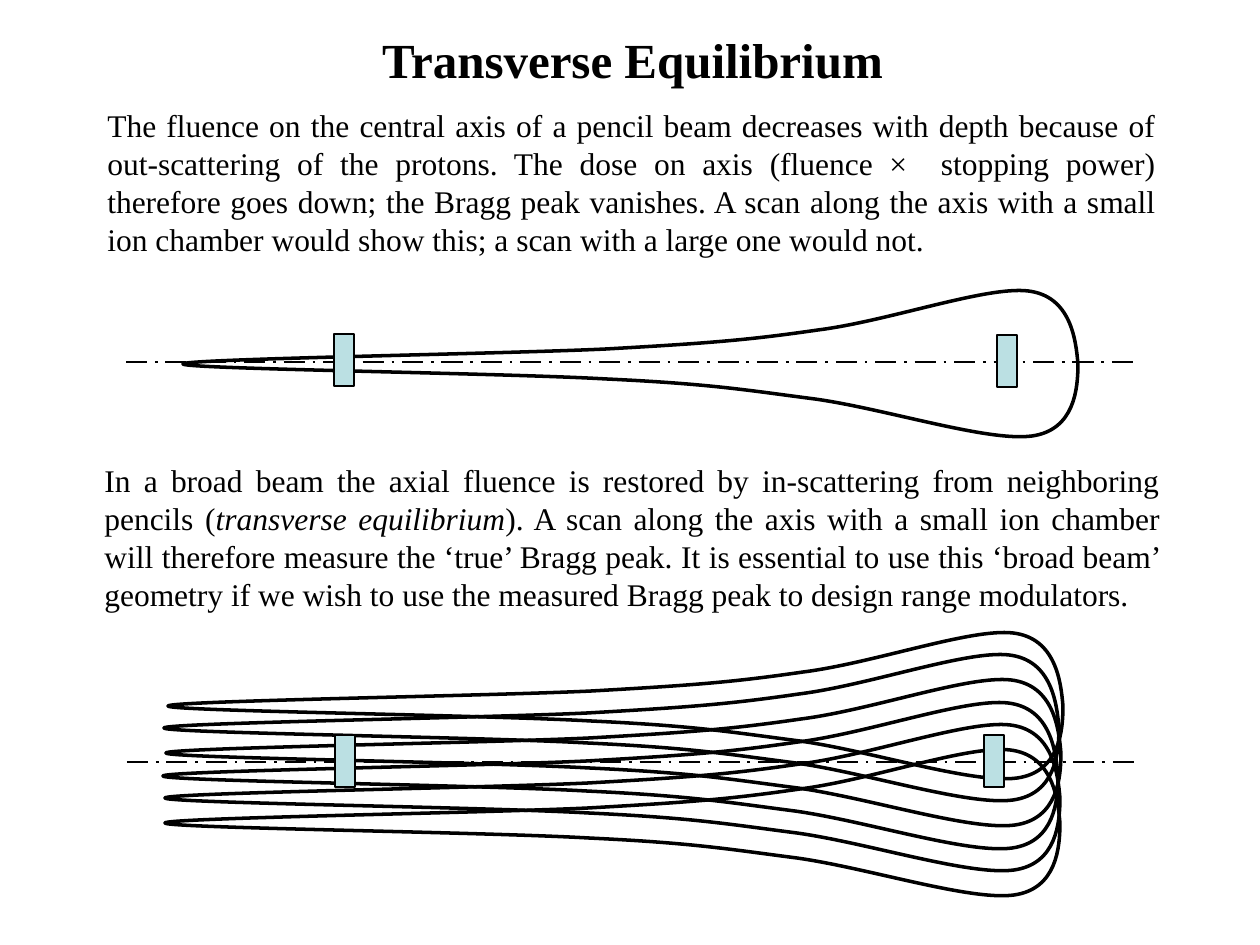
import pptx
import pptx.dml.color
import pptx.enum.dml
import pptx.enum.shapes
import pptx.enum.text
import pptx.oxml
import pptx.oxml.ns
import pptx.util

PX = 914400 / 126
COLORS = {"ink": "000000", "chamber": "BBE0E3"}
FONT = "Times New Roman"
ALIGN = pptx.enum.text.PP_ALIGN

TITLE = ("Transverse Equilibrium", (125, 23, 1015, 72))
# Each text is a box and its runs of (text, italic)
TEXTS = [
    ((95, 100, 1074, 202), [
        ("The fluence on the central axis of a pencil beam decreases with depth because of "
         "out-scattering of the protons. The dose on axis (fluence ×  stopping power) therefore "
         "goes down; the Bragg peak vanishes. A scan along the axis with a small ion chamber "
         "would show this; a scan with a large one would not.", False)]),
    ((92, 455, 1081, 202), [
        ("In a broad beam the axial fluence is restored by in-scattering from neighboring "
         "pencils (", False),
        ("transverse equilibrium", True),
        ("). A scan along the axis with a small ion chamber will therefore measure the ‘true’ "
         "Bragg peak. It is essential to use this ‘broad beam’ geometry if we wish to use the "
         "measured Bragg peak to design range modulators.", False)]),
]
# Bezier points of one pencil beam, measured from its tip: three per curve
PENCIL = [
    (0, -5), (318, -10), (423, -15),
    (529, -21), (566, -24), (635, -34),
    (706, -43), (803, -78), (845, -73),
    (888, -68), (893, -24), (895, 0),
    (895, 24), (892, 66), (849, 72),
    (805, 78), (703, 45), (632, 35),
    (562, 26), (529, 20), (423, 15),
    (318, 9), (0, 5), (0, 0),
]
TIPS = [(183, 364), (166, 753), (163, 776), (165, 798), (165, 823), (168, 706), (164, 728)]
AXES = [(126, 1138, 362), (127, 1140, 762)]
CHAMBER_SIZE = (20, 52)
CHAMBERS = [(334, 334), (997, 335), (984, 735), (335, 735)]


def emu(*lengths):
    return [round(n * PX) for n in lengths]


def rgb(name):
    return pptx.dml.color.RGBColor.from_string(COLORS[name])


def set_line(shape, width):
    shape.line.color.rgb = rgb("ink")
    shape.line.width = pptx.util.Pt(width)


def write(tf, runs, size, align, bold=False):
    tf.word_wrap = True
    tf.auto_size = pptx.enum.text.MSO_AUTO_SIZE.NONE
    tf.vertical_anchor = pptx.enum.text.MSO_ANCHOR.TOP
    p = tf.paragraphs[0]
    p.alignment = align
    for text, italic in runs:
        r = p.add_run()
        r.text = text
        r.font.name = FONT
        r.font.size = pptx.util.Pt(size)
        r.font.bold = bold
        r.font.italic = italic
        r.font.color.rgb = rgb("ink")


def add_pencil(s, x, y):
    """Draw a closed Bezier outline whose tip is at x, y."""
    builder = s.shapes.build_freeform(x, y, scale=PX)
    builder.add_line_segments([(x + dx, y + dy) for dx, dy in PENCIL], close=True)
    sp = builder.convert_to_shape()
    sp.shadow.inherit = False
    sp.fill.background()
    set_line(sp, 2)
    # Turn every three straight segments into one cubic curve
    lines = list(sp._element.iter(pptx.oxml.ns.qn("a:lnTo")))
    for i in range(0, len(lines), 3):
        curve = pptx.oxml.parse_xml(
            f"<a:cubicBezTo {pptx.oxml.ns.nsdecls('a')}/>")
        lines[i].addprevious(curve)
        for line in lines[i:i + 3]:
            curve.append(line[0])
            line.getparent().remove(line)


def add_axis(s, x1, x2, y):
    line = s.shapes.add_connector(
        pptx.enum.shapes.MSO_CONNECTOR.STRAIGHT, *emu(x1, y, x2, y))
    set_line(line, 1.5)
    line.line.dash_style = pptx.enum.dml.MSO_LINE.LONG_DASH_DOT
    line._element.spPr.append(
        pptx.oxml.parse_xml(f"<a:effectLst {pptx.oxml.ns.nsdecls('a')}/>"))


def add_chamber(s, x, y):
    sp = s.shapes.add_shape(
        pptx.enum.shapes.MSO_SHAPE.RECTANGLE, *emu(x, y, *CHAMBER_SIZE))
    sp.shadow.inherit = False
    sp.fill.solid()
    sp.fill.fore_color.rgb = rgb("chamber")
    set_line(sp, 1)


def main():
    prs = pptx.Presentation()
    prs.slide_width, prs.slide_height = emu(1260, 945)
    s = prs.slides.add_slide(prs.slide_layouts[5])

    text, box = TITLE
    title = s.shapes.title
    title.left, title.top, title.width, title.height = emu(*box)
    write(title.text_frame, [(text, False)], 28, ALIGN.CENTER, bold=True)

    for tip in TIPS:
        add_pencil(s, *tip)
    for axis in AXES:
        add_axis(s, *axis)
    for box, runs in TEXTS:
        write(s.shapes.add_textbox(*emu(*box)).text_frame, runs, 18, ALIGN.JUSTIFY)
    for corner in CHAMBERS:
        add_chamber(s, *corner)

    prs.save("out.pptx")


if __name__ == "__main__":
    main()
